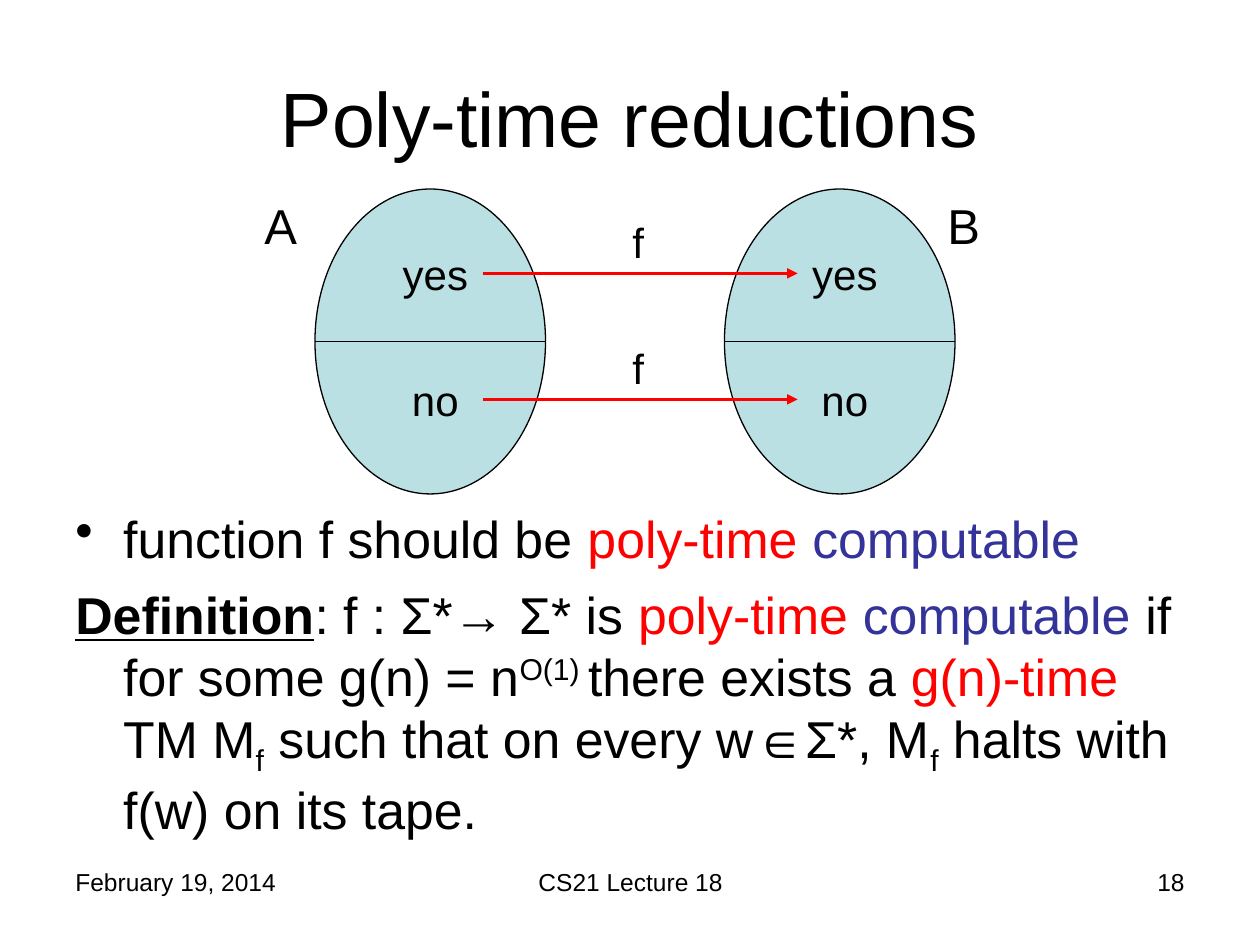
import pptx
import pptx.dml.color
import pptx.enum.shapes
import pptx.enum.text
import pptx.oxml.ns
import pptx.util
from lxml import etree

Inches = pptx.util.Inches
Pt = pptx.util.Pt
Align = pptx.enum.text.PP_ALIGN
Anchor = pptx.enum.text.MSO_ANCHOR
RGBColor = pptx.dml.color.RGBColor
qn = pptx.oxml.ns.qn

BLACK = RGBColor(0x00, 0x00, 0x00)
RED = RGBColor(0xFF, 0x00, 0x00)
INDIGO = RGBColor(0x33, 0x33, 0x99)
PALE_TEAL = RGBColor(0xBB, 0xE0, 0xE3)


class SlideWriter:
    font_name = "Arial"
    body_size = 29.6
    hanging_indent = Inches(0.38)

    def __init__(self, slide):
        self.slide = slide

    def text_frame(self, left, top, width, height, anchor=Anchor.TOP):
        box = self.slide.shapes.add_textbox(
            Inches(left), Inches(top), Inches(width), Inches(height))
        frame = box.text_frame
        frame.word_wrap = True
        frame.vertical_anchor = anchor
        return frame

    def set_font(self, paragraph, size):
        paragraph.font.name = self.font_name
        paragraph.font.size = Pt(size)
        paragraph.font.color.rgb = BLACK

    def label(self, text, left, top, width, height, size,
              align=Align.LEFT, anchor=Anchor.TOP):
        paragraph = self.text_frame(left, top, width, height, anchor).paragraphs[0]
        paragraph.text = text
        paragraph.alignment = align
        self.set_font(paragraph, size)

    def hanging_paragraph(self, paragraph, pieces, bullet=None):
        """Fill a paragraph from (text, style) pairs, with an optional bullet."""
        properties = paragraph._p.get_or_add_pPr()
        properties.set("marL", str(self.hanging_indent))
        properties.set("indent", str(-self.hanging_indent))
        if bullet:
            etree.SubElement(properties, qn("a:buChar")).set("char", bullet)
        else:
            etree.SubElement(properties, qn("a:buNone"))
        self.set_font(paragraph, self.body_size)
        for text, style in pieces:
            run = paragraph.add_run()
            run.text = text
            if "color" in style:
                run.font.color.rgb = style["color"]
            if style.get("heading"):
                run.font.bold = True
                run.font.underline = True
            if "baseline" in style:
                run._r.get_or_add_rPr().set("baseline", str(style["baseline"] * 1000))

    def ellipse(self, left, top, width, height):
        oval = self.slide.shapes.add_shape(
            pptx.enum.shapes.MSO_SHAPE.OVAL,
            Inches(left), Inches(top), Inches(width), Inches(height))
        oval.shadow.inherit = False
        oval.fill.solid()
        oval.fill.fore_color.rgb = PALE_TEAL
        oval.line.color.rgb = BLACK
        oval.line.width = Pt(0.75)

    def horizontal_line(self, start, end, y, color=BLACK, weight=0.75, arrow=False):
        connector = self.slide.shapes.add_connector(
            pptx.enum.shapes.MSO_CONNECTOR.STRAIGHT,
            Inches(start), Inches(y), Inches(end), Inches(y))
        connector.line.color.rgb = color
        connector.line.width = Pt(weight)
        if arrow:
            line = connector.line._get_or_add_ln()
            etree.SubElement(line, qn("a:tailEnd")).set("type", "triangle")
        etree.SubElement(connector._element.spPr, qn("a:effectLst"))


def main():
    deck = pptx.Presentation()
    deck.slide_width = Inches(10)
    deck.slide_height = Inches(7.5)
    writer = SlideWriter(deck.slides.add_slide(deck.slide_layouts[6]))

    for text, left, width, align in (
            ("February 19, 2014", 0.5, 2.33, Align.LEFT),
            ("CS21 Lecture 18", 3.42, 3.17, Align.CENTER),
            ("18", 7.17, 2.33, Align.RIGHT)):
        writer.label(text, left, 6.83, width, 0.52, 14, align)

    writer.label("Poly-time reductions", 0.5, 0.3, 9, 1.25, 44,
                 Align.CENTER, Anchor.MIDDLE)

    plain, red, indigo = {}, {"color": RED}, {"color": INDIGO}
    superscript, subscript = {"baseline": 30}, {"baseline": -25}
    statement = writer.text_frame(0.5, 3.97, 9, 2.95)
    writer.hanging_paragraph(statement.paragraphs[0], [
        ("function f should be ", plain),
        ("poly-time ", red),
        ("computable", indigo),
    ], bullet="•")
    definition = statement.add_paragraph()
    definition.space_before = Pt(8)
    writer.hanging_paragraph(definition, [
        ("Definition", {"heading": True}),
        (": f : Σ*→ Σ* is ", plain),
        ("poly-time ", red),
        ("computable", indigo),
        (" if for some g(n) = n", plain),
        ("O(1) ", superscript),
        ("there exists a ", plain),
        ("g(n)-time", red),
        (" TM M", plain),
        ("f", subscript),
        (" such that on every w∈Σ*, M", plain),
        ("f", subscript),
        (" halts with f(w) on its tape.", plain),
    ])

    set_lefts = (2.5, 5.75)
    set_width = 1.83
    answers = (("yes", 1.92), ("no", 2.92))
    for left in set_lefts:
        writer.ellipse(left, 1.5, set_width, 2.42)
        writer.horizontal_line(left, left + set_width, 2.71)
        for answer, top in answers:
            writer.label(answer, left + 0.58, top, 0.75, 0.5, 24, Align.CENTER)

    for _, top in answers:
        writer.horizontal_line(3.83, 6.33, top + 0.25, RED, 2, arrow=True)
        writer.label("f", 4.92, top - 0.25, 0.58, 0.5, 24)

    for set_name, left in (("A", 2), ("B", 7.42)):
        writer.label(set_name, left, 1.5, 0.58, 0.57, 28)

    deck.save("out.pptx")


if __name__ == "__main__":
    main()
